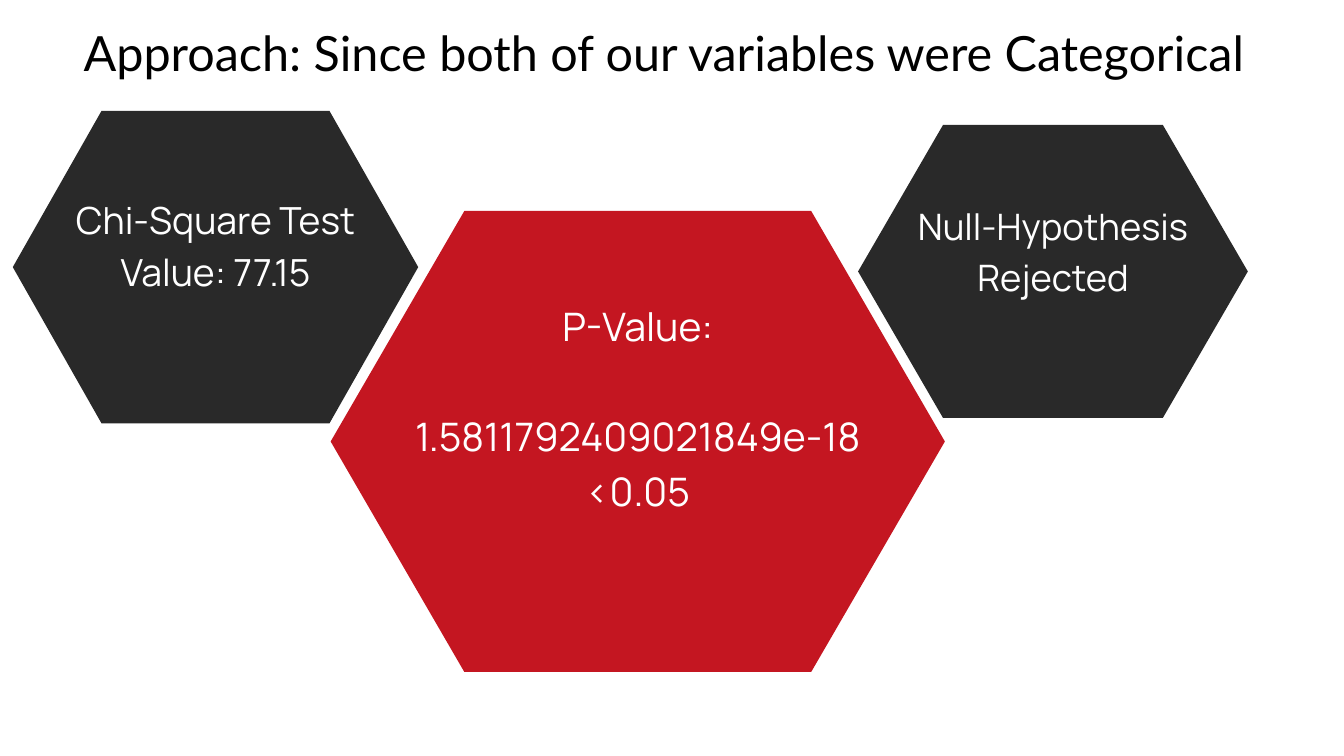
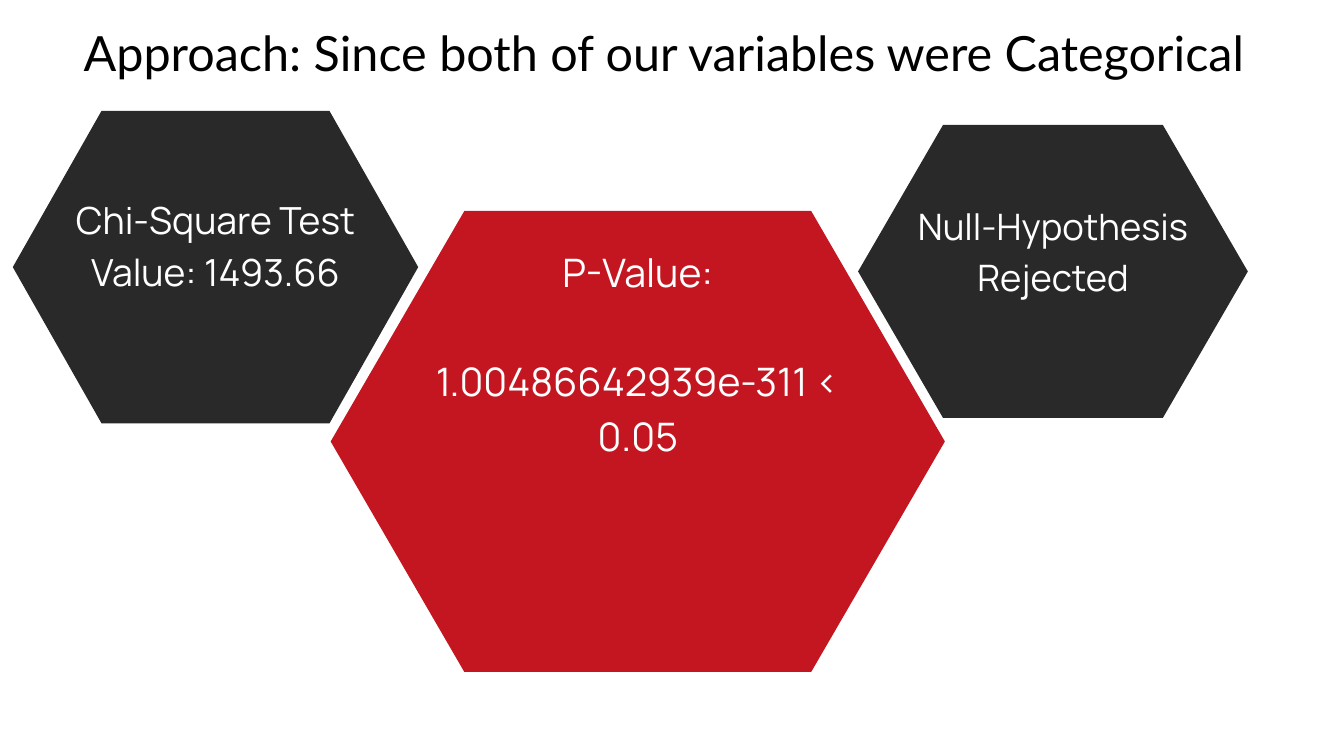
import dataclasses

import pptx
import pptx.dml.color
import pptx.enum.shapes
import pptx.enum.text
import pptx.util

Pt = pptx.util.Pt
Rgb = pptx.dml.color.RGBColor.from_string


@dataclasses.dataclass(frozen=True)
class Theme:
    page: str = "FFFFFF"
    dark: str = "292929"
    red: str = "C41621"
    ink: str = "000000"
    light: str = "FFFFFF"
    head: str = "Lato"
    body: str = "Manrope"
    title: int = 52
    test: int = 40
    value: int = 42
    verdict: int = 39
    leading: float = 1.4
    inset: float = 4.5


THEME = Theme()
WIDE, HIGH = 1440, 810
TITLE = "Approach: Since both of our variables were Categorical"
TITLE_BOX = (13.7, 14.4, 1395.4, 69.8)
TEST_BOX = (13.7, 118.8, 434.4, 334.8)
VALUE_BOX = (354.3, 226.1, 658.1, 493.9)
VERDICT_BOX = (919.4, 133.9, 417.6, 313.9)
RESULTS = [
    ("Value: 77.15", ["1.5811792409021849e-18", "<0.05"], 0),
    ("Value: 1493.66", ["1.00486642939e-311 < 0.05"], 2),
]


def add_text(slide, box, lines, size, font, color):
    frame = slide.shapes.add_textbox(*map(Pt, box)).text_frame
    frame.word_wrap = True
    frame.margin_left = frame.margin_right = 0
    frame.margin_top = frame.margin_bottom = 0
    frame.text = "\n".join(lines)
    for para in frame.paragraphs:
        para.alignment = pptx.enum.text.PP_ALIGN.CENTER
        para.line_spacing = Pt(size * THEME.leading)
        for run in para.runs:
            run.font.size = Pt(size)
            run.font.name = font
            run.font.color.rgb = Rgb(color)
    return frame


def add_title(slide, box):
    frame = add_text(slide, box, [TITLE], THEME.title, THEME.head, THEME.ink)
    frame.auto_size = pptx.enum.text.MSO_AUTO_SIZE.SHAPE_TO_FIT_TEXT


def add_hexagon(slide, box, fill, lines, size, slant=0.29, tail=0):
    left, top, width, height = box
    kind = pptx.enum.shapes.MSO_SHAPE.HEXAGON
    shape = slide.shapes.add_shape(kind, *map(Pt, box))
    shape.adjustments[0] = slant
    shape.shadow.inherit = False
    shape.fill.solid()
    shape.fill.fore_color.rgb = Rgb(fill)
    shape.line.fill.background()

    rise = height * 0.16
    area = (left + width * 0.1225, top - rise, width * 0.755, height + rise)
    frame = add_text(slide, area, lines, size, THEME.body, THEME.light)
    frame.vertical_anchor = pptx.enum.text.MSO_ANCHOR.MIDDLE
    frame.margin_left = frame.margin_right = Pt(THEME.inset)
    frame.margin_top = Pt(THEME.inset)
    frame.margin_bottom = Pt(THEME.inset + tail * size * THEME.leading)
    return frame


def add_result(deck, test, values, tail):
    slide = deck.slides.add_slide(deck.slide_layouts[6])
    slide.background.fill.solid()
    slide.background.fill.fore_color.rgb = Rgb(THEME.page)
    add_hexagon(slide, TEST_BOX, THEME.dark, ["Chi-Square Test", test],
                THEME.test, slant=0.284)
    frame = add_hexagon(slide, VALUE_BOX, THEME.red, ["P-Value:", *values],
                        THEME.value, tail=tail)
    frame.paragraphs[1].space_before = Pt(THEME.value * THEME.leading)
    add_hexagon(slide, VERDICT_BOX, THEME.dark, ["Null-Hypothesis Rejected"],
                THEME.verdict)
    add_title(slide, TITLE_BOX)


def main():
    deck = pptx.Presentation()
    deck.slide_width, deck.slide_height = Pt(WIDE), Pt(HIGH)
    for result in RESULTS:
        add_result(deck, *result)
    deck.save("out.pptx")


if __name__ == "__main__":
    main()
